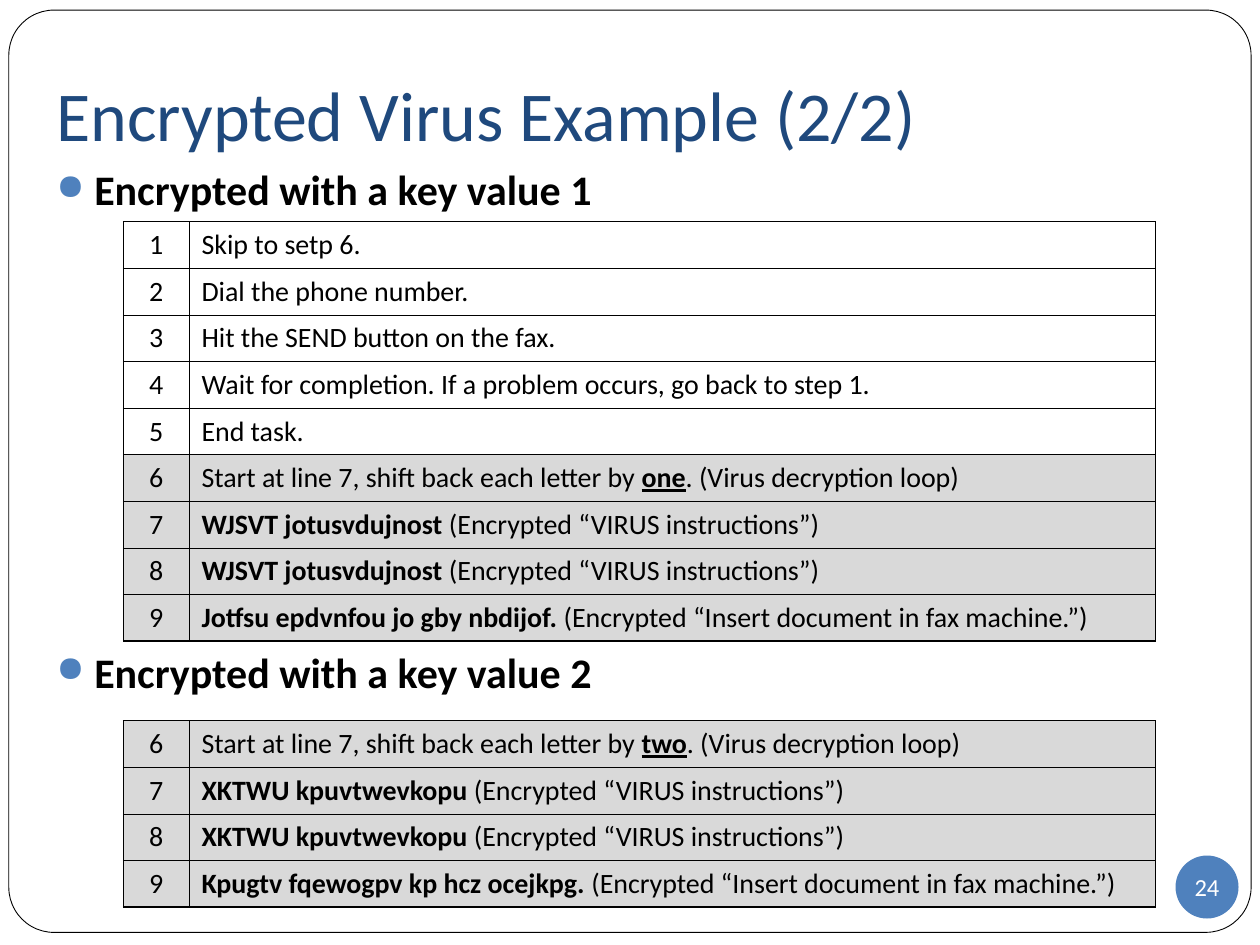
from lxml import etree
from pptx import Presentation
from pptx.dml.color import RGBColor
from pptx.enum.shapes import MSO_SHAPE
from pptx.enum.text import MSO_ANCHOR, PP_ALIGN
from pptx.oxml.ns import qn
from pptx.util import Inches, Pt

ROUNDED, OVAL = MSO_SHAPE.ROUNDED_RECTANGLE, MSO_SHAPE.OVAL
MIDDLE = MSO_ANCHOR.MIDDLE
LEFT, CENTER = PP_ALIGN.LEFT, PP_ALIGN.CENTER

FONT = "Calibri"
BLACK, WHITE, NAVY, BLUE, GRAY = "000000", "FFFFFF", "1F497D", "4F81BD", "D9D9D9"
THIN, THICK = 0.23, 0.75
NUMBER_WIDTH, ROW_HEIGHT = 0.52, 0.37

PLAIN_STEPS = [
    "Skip to setp 6.",
    "Dial the phone number.",
    "Hit the SEND button on the fax.",
    "Wait for completion. If a problem occurs, go back to step 1.",
    "End task.",
]


def color(value):
    return RGBColor.from_string(value)


def style(font, size, font_color, bold=False, underline=False):
    font.name, font.size, font.bold, font.underline = FONT, Pt(size), bold, underline
    font.color.rgb = color(font_color)


def encrypted_steps(shift, virus_line, insert_line):
    """Steps 6 to 9 as (plain, bold, plain) parts."""
    virus = ("", virus_line, " (Encrypted “VIRUS instructions”)")
    return [
        ("Start at line 7, shift back each letter by ", shift, ". (Virus decryption loop)"),
        virus,
        virus,
        ("", insert_line, " (Encrypted “Insert document in fax machine.”)"),
    ]


def add_frame(slide, left, top, width, height):
    frame = slide.shapes.add_shape(
        ROUNDED, Inches(left), Inches(top), Inches(width), Inches(height))
    frame.shadow.inherit = False
    frame.adjustments[0] = 0.049
    frame.fill.solid()
    frame.fill.fore_color.rgb = color(WHITE)
    frame.line.color.rgb = color(BLACK)
    frame.line.width = Pt(0.5)


def add_text(slide, left, top, width, height, text, size, font_color, bold=False):
    box = slide.shapes.add_textbox(
        Inches(left), Inches(top), Inches(width), Inches(height))
    text_frame = box.text_frame
    text_frame.word_wrap = True
    text_frame.text = text
    style(text_frame.paragraphs[0].runs[0].font, size, font_color, bold)
    return text_frame


def add_title(slide, left, top, width, height, text):
    text_frame = add_text(slide, left, top, width, height, text, 40, NAVY)
    text_frame.vertical_anchor = MIDDLE
    text_frame.margin_bottom = Inches(0.1)


def add_heading(slide, left, top, width, height, text):
    text_frame = add_text(slide, left, top, width, height, text, 24, BLACK, bold=True)
    properties = text_frame.paragraphs[0]._p.get_or_add_pPr()
    properties.set("marL", str(Inches(0.3)))
    properties.set("indent", str(-Inches(0.3)))
    bullet_color = etree.SubElement(properties, qn("a:buClr"))
    etree.SubElement(bullet_color, qn("a:srgbClr"), val=BLUE)
    etree.SubElement(properties, qn("a:buSzPct"), val="85000")
    etree.SubElement(properties, qn("a:buChar"), char="●")


def set_borders(cell, widths):
    """Draw black borders; widths are points for left, right, top, bottom."""
    properties = cell._tc.get_or_add_tcPr()
    for side, width in zip("LRTB", widths):
        line = etree.SubElement(properties, qn(f"a:ln{side}"), w=str(Pt(width)))
        fill = etree.SubElement(line, qn("a:solidFill"))
        etree.SubElement(fill, qn("a:srgbClr"), val=BLACK)


def fill_cell(cell, parts, alignment, fill_color):
    cell.vertical_anchor = MIDDLE
    cell.fill.solid()
    cell.fill.fore_color.rgb = color(fill_color)
    paragraph = cell.text_frame.paragraphs[0]
    paragraph.alignment = alignment
    underlined = len(parts) > 1 and parts[0] != ""
    for index, part in enumerate(parts):
        if part:
            run = paragraph.add_run()
            run.text = part
            emphasized = index == 1
            style(run.font, 16, BLACK, emphasized, emphasized and underlined)


def add_steps(slide, left, top, width, steps, first_number, top_border):
    """Numbered table; steps given as several parts are encrypted and shaded."""
    shape = slide.shapes.add_table(
        len(steps), 2, Inches(left), Inches(top),
        Inches(width), Inches(ROW_HEIGHT * len(steps)))
    table = shape.table
    table.first_row = table.horz_banding = False
    table.columns[0].width = Inches(NUMBER_WIDTH)
    table.columns[1].width = Inches(width - NUMBER_WIDTH)
    for index, step in enumerate(steps):
        table.rows[index].height = Inches(ROW_HEIGHT)
        fill_color = WHITE if len(step) == 1 else GRAY
        upper = top_border if index == 0 else THIN
        lower = THICK if index == len(steps) - 1 else THIN
        number_cell, step_cell = table.cell(index, 0), table.cell(index, 1)
        set_borders(number_cell, (THICK, THIN, upper, lower))
        set_borders(step_cell, (THIN, THICK, upper, lower))
        fill_cell(number_cell, (str(first_number + index),), CENTER, fill_color)
        fill_cell(step_cell, step, LEFT, fill_color)


def add_page_number(slide, left, top, diameter, number):
    badge = slide.shapes.add_shape(
        OVAL, Inches(left), Inches(top), Inches(diameter), Inches(diameter))
    badge.shadow.inherit = False
    badge.fill.solid()
    badge.fill.fore_color.rgb = color(BLUE)
    badge.line.fill.background()
    text_frame = badge.text_frame
    text_frame.margin_left = text_frame.margin_right = 0
    text_frame.margin_top = text_frame.margin_bottom = 0
    text_frame.word_wrap = False
    text_frame.vertical_anchor = MIDDLE
    text_frame.text = number
    paragraph = text_frame.paragraphs[0]
    paragraph.alignment = CENTER
    style(paragraph.runs[0].font, 14, WHITE)


def main():
    presentation = Presentation()
    presentation.slide_width, presentation.slide_height = Inches(10), Inches(7.5)
    slide = presentation.slides.add_slide(presentation.slide_layouts[6])

    key_one = encrypted_steps(
        "one", "WJSVT jotusvdujnost", "Jotfsu epdvnfou jo gby nbdijof.")
    key_two = encrypted_steps(
        "two", "XKTWU kpuvtwevkopu", "Kpugtv fqewogpv kp hcz ocejkpg.")
    plain = [(step,) for step in PLAIN_STEPS]

    add_frame(slide, 0.07, 0.08, 9.86, 7.32)
    add_title(slide, 0.35, 0.3, 9.37, 1.25, "Encrypted Virus Example (2/2)")
    add_heading(slide, 0.35, 1.25, 9.37, 0.5, "Encrypted with a key value 1")
    add_heading(slide, 0.35, 5.08, 9.37, 0.5, "Encrypted with a key value 2")
    add_page_number(slide, 9.33, 6.79, 0.5, "24")
    add_steps(slide, 0.98, 1.76, 8.19, plain + key_one, 1, THICK)
    add_steps(slide, 0.98, 5.72, 8.19, key_two, 6, 0.45)

    presentation.save("out.pptx")


if __name__ == "__main__":
    main()
